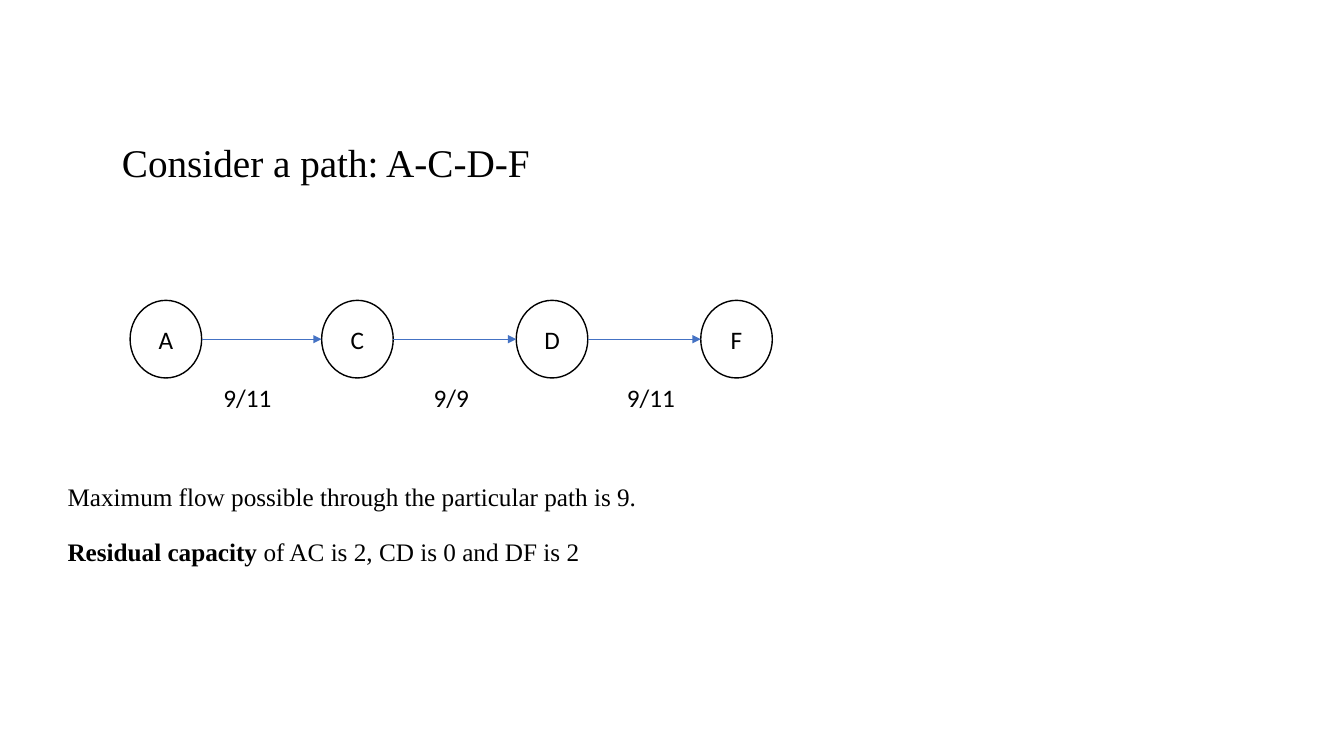
from pptx import Presentation
from pptx.dml.color import RGBColor
from pptx.enum.shapes import MSO_CONNECTOR, MSO_SHAPE
from pptx.enum.text import MSO_ANCHOR, PP_ALIGN
from pptx.oxml.ns import qn
from pptx.util import Inches, Pt
from lxml.etree import SubElement

BLACK = RGBColor(0x00, 0x00, 0x00)
WHITE = RGBColor(0xFF, 0xFF, 0xFF)
BLUE = RGBColor(0x44, 0x72, 0xC4)
SERIF, SANS = "Times New Roman", "Calibri"

NODE_TOP, NODE_W, NODE_H = 2.98, 0.71, 0.77
LABEL_TOP, LABEL_W, LABEL_H = 3.39, 0.99, 1.11
NODES = [("A", 1.29), ("C", 3.19), ("D", 5.12), ("F", 6.95)]
FLOWS = [("9/11", 1.96), ("9/9", 3.98), ("9/11", 5.96)]


def style_font(font, name, size, bold=False):
    font.name, font.size, font.bold = name, Pt(size), bold
    font.color.rgb = BLACK


def add_heading(s, text):
    body = s.placeholders[1]
    body.left, body.top = Inches(1.11), Inches(1.37)
    body.width, body.height = Inches(7.35), Inches(4.76)
    tf = body.text_frame
    tf.text = text
    p = tf.paragraphs[0]
    p.line_spacing, p.space_before = 0.9, Pt(0)
    pPr = p._p.get_or_add_pPr()
    pPr.set("marL", "0")
    pPr.set("indent", "0")
    SubElement(pPr, qn("a:buNone"))
    style_font(p.runs[0].font, SERIF, 28)


def add_oval(s, text, left, top, width, height):
    sp = s.shapes.add_shape(MSO_SHAPE.OVAL, Inches(left), Inches(top),
                            Inches(width), Inches(height))
    sp.shadow.inherit = False
    tf = sp.text_frame
    tf.text = text
    tf.word_wrap = False
    tf.vertical_anchor = MSO_ANCHOR.MIDDLE
    p = tf.paragraphs[0]
    p.alignment = PP_ALIGN.CENTER
    style_font(p.runs[0].font, SANS, 18)
    return sp


def add_node(s, name, left):
    sp = add_oval(s, name, left, NODE_TOP, NODE_W, NODE_H)
    sp.fill.solid()
    sp.fill.fore_color.rgb = WHITE
    sp.line.color.rgb = BLACK
    sp.line.width = Pt(1)


def add_flow_label(s, text, left):
    sp = add_oval(s, text, left, LABEL_TOP, LABEL_W, LABEL_H)
    sp.fill.background()
    sp.line.fill.background()


def add_arrow(s, start, end):
    y = Inches(NODE_TOP + NODE_H / 2)
    edge = s.shapes.add_connector(MSO_CONNECTOR.STRAIGHT, Inches(start), y,
                                  Inches(end), y)
    edge.line.color.rgb = BLUE
    edge.line.width = Pt(0.5)
    SubElement(edge.line._get_or_add_ln(), qn("a:tailEnd"), type="triangle")
    SubElement(edge._element.spPr, qn("a:effectLst"))


def add_summary(s, paragraphs):
    """Add a one-cell table; each paragraph is a list of (text, bold) runs."""
    table = s.shapes.add_table(1, 1, Inches(0.57), Inches(4.75),
                               Inches(6.65), Inches(0.97)).table
    table.first_row = table.horz_banding = False
    cell = table.cell(0, 0)
    cell.fill.background()
    tf = cell.text_frame
    for i, runs in enumerate(paragraphs):
        p = tf.add_paragraph() if i else tf.paragraphs[0]
        p.space_before = Pt(19.5 if i else 0)
        for text, bold in runs:
            r = p.add_run()
            r.text = text
            style_font(r.font, SERIF, 18, bold)


def main():
    prs = Presentation()
    prs.slide_width, prs.slide_height = Inches(13.33), Inches(7.5)
    s = prs.slides.add_slide(prs.slide_layouts[1])
    title = s.shapes.title._element
    title.getparent().remove(title)

    add_heading(s, "Consider a path: A-C-D-F")
    for name, left in NODES:
        add_node(s, name, left)
    for (_, left), (_, next_left) in zip(NODES, NODES[1:]):
        add_arrow(s, left + NODE_W, next_left)
    for text, left in FLOWS:
        add_flow_label(s, text, left)
    add_summary(s, [
        [("Maximum flow possible through the particular path is 9.", False)],
        [("Residual capacity ", True),
         ("of AC is 2, CD is 0 and DF is 2", False)],
    ])
    prs.save("out.pptx")


if __name__ == "__main__":
    main()
